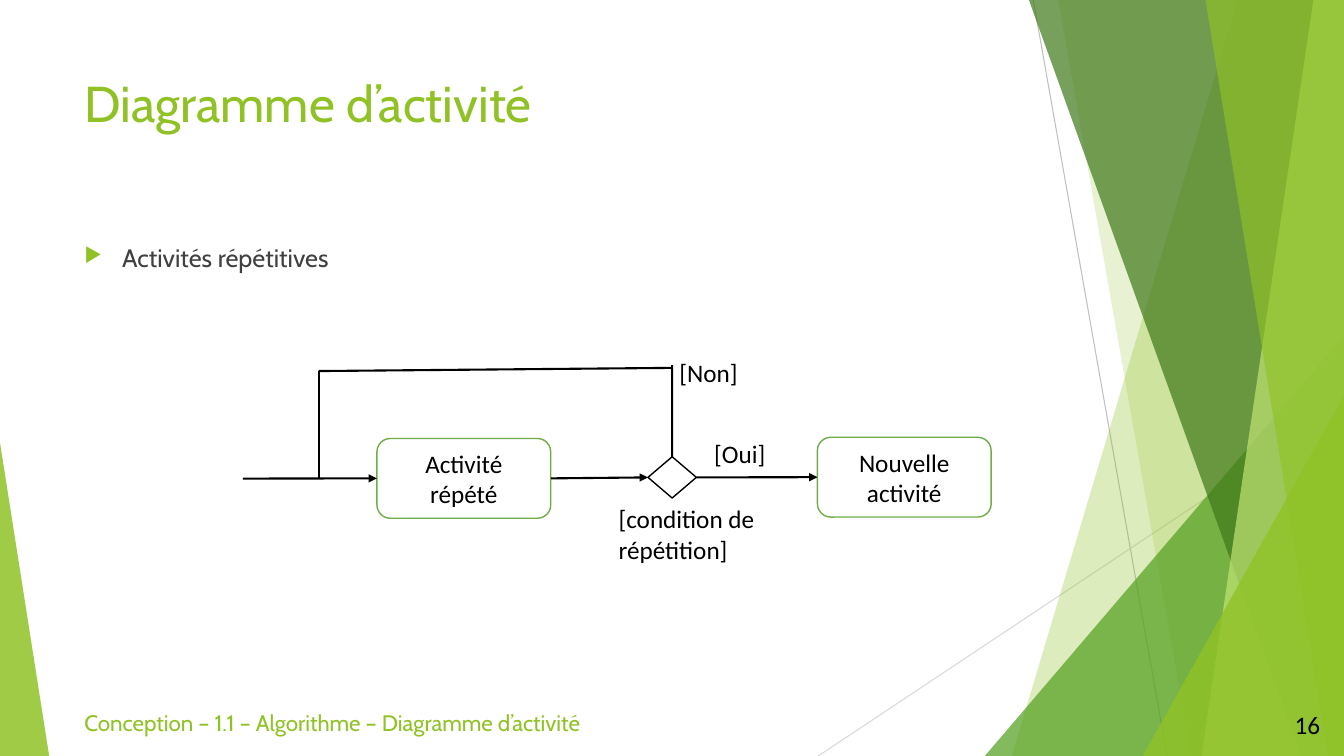
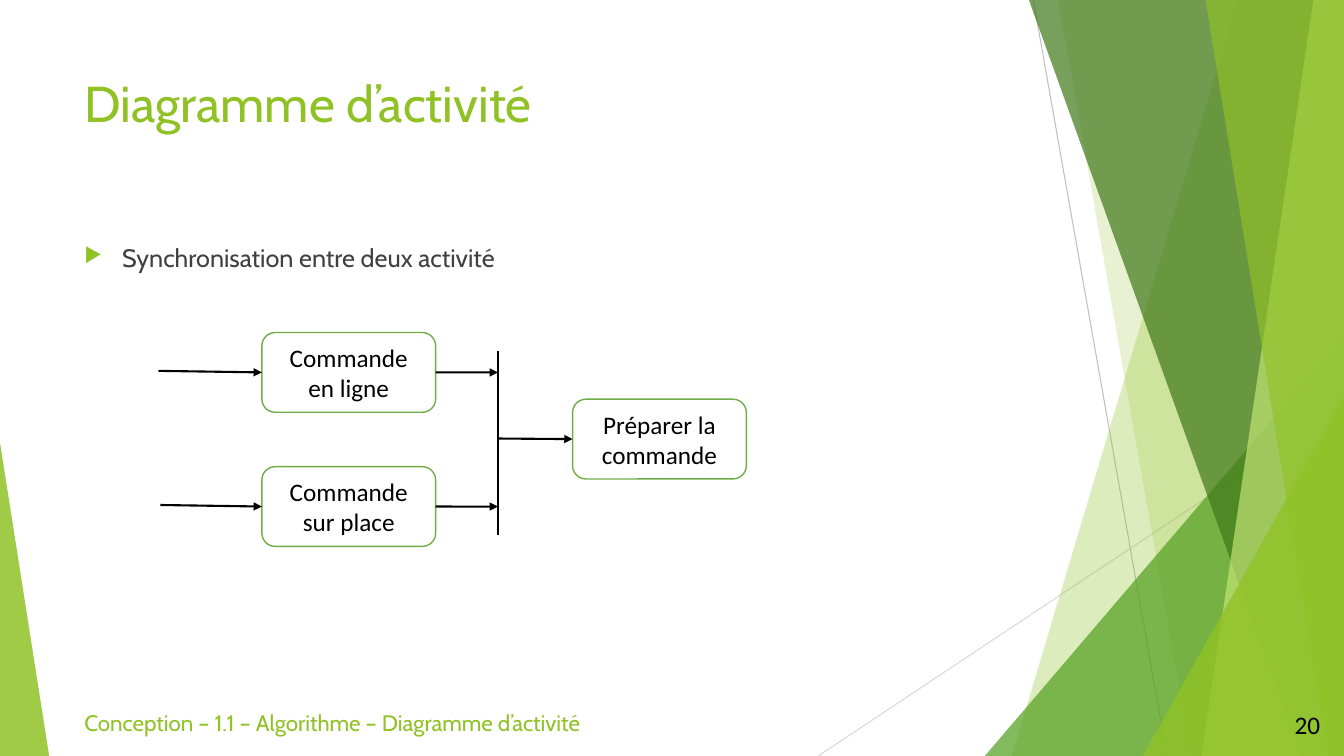
from lxml.etree import SubElement
from pptx import Presentation
from pptx.dml.color import RGBColor
from pptx.enum.shapes import MSO_CONNECTOR, MSO_SHAPE
from pptx.enum.text import MSO_ANCHOR, PP_ALIGN
from pptx.oxml.ns import qn
from pptx.util import Cm, Pt

# Colours
LIME = RGBColor(0x90, 0xC2, 0x26)
GREEN = RGBColor(0x54, 0xA0, 0x21)
DARK = RGBColor(0x3F, 0x78, 0x19)
PALE = RGBColor(0xC0, 0xE4, 0x74)
EDGE = RGBColor(0x70, 0xAD, 0x47)
GREY = RGBColor(0xBF, 0xBF, 0xBF)
MIST = RGBColor(0xD9, 0xD9, 0xD9)
TEXT = RGBColor(0x40, 0x40, 0x40)
BLACK = RGBColor(0, 0, 0)
WHITE = RGBColor(0xFF, 0xFF, 0xFF)

# Shared sizes (cm), fonts and text
WIDE, HIGH = 33.87, 19.05
LEFT = 1.88
BOX_W, BOX_H = 4.38, 2.01
HEAD, BODY = "Cabin", "Calibri"
TITLE = "Diagramme d’activité"
FOOTER = "Conception – 1.1 – Algorithme – Diagramme d’activité"

# Right bands: top x, top y, bottom x, colour, opacity in percent
BANDS = [
    (31.19, 0, 25.5, LIME, 30),
    (26.67, 0, 30.02, LIME, 20),
    (WIDE, 8.46, 24.82, GREEN, 72),
    (25.93, 0, 32.79, DARK, 70),
    (33.1, 0, 30.28, PALE, 70),
    (30.38, 0, 33.48, LIME, 65),
    (WIDE, 9.98, 28.8, LIME, 80),
]

# Connection sites
TOP, WEST, EAST = 0, 1, 3


def label(slide, text, at, size=18, font=BODY, color=BLACK):
    """Add a one-paragraph text box and return its frame."""
    frame = slide.shapes.add_textbox(*map(Cm, at)).text_frame
    frame.word_wrap = True
    frame.text = text
    style(frame.paragraphs[0], size, font, color)
    return frame


def style(para, size, font, color):
    para.font.size = Pt(size)
    para.font.name = font
    para.font.color.rgb = color


def line(slide, start, end, color=BLACK, width=1.5, arrow=False):
    """Draw a line; each end is a point or a (shape, site) pair."""
    ends = [(0, 0) if hasattr(end[0], "shape_id") else end for end in (start, end)]
    link = slide.shapes.add_connector(
        MSO_CONNECTOR.STRAIGHT, *(Cm(v) for point in ends for v in point))
    for end, join in ((start, link.begin_connect), (end, link.end_connect)):
        if hasattr(end[0], "shape_id"):
            join(*end)
    link.line.color.rgb = color
    link.line.width = Pt(width)
    props = link._element.spPr
    if arrow:
        SubElement(props.find(qn("a:ln")), qn("a:tailEnd"), type="triangle")
    SubElement(props, qn("a:effectLst"))


def arrow(slide, start, end):
    line(slide, start, end, arrow=True)


def band(slide, points, color, alpha):
    """Draw a translucent polygon without outline."""
    first, *rest = [(Cm(x), Cm(y)) for x, y in points]
    pen = slide.shapes.build_freeform(*first)
    pen.add_line_segments(rest)
    shape = pen.convert_to_shape()
    shape.shadow.inherit = False
    shape.fill.solid()
    shape.fill.fore_color.rgb = color
    shape.line.fill.background()
    tint = shape._element.spPr.find(".//" + qn("a:srgbClr"))
    SubElement(tint, qn("a:alpha"), val=str(alpha * 1000))


def node(slide, kind, at, edge):
    """Draw a white shape with a thin outline."""
    shape = slide.shapes.add_shape(kind, *map(Cm, at))
    shape.shadow.inherit = False
    shape.fill.solid()
    shape.fill.fore_color.rgb = WHITE
    shape.line.color.rgb = edge
    shape.line.width = Pt(1)
    return shape


def task(slide, text, x, y):
    """Draw a rounded activity box."""
    box = node(slide, MSO_SHAPE.ROUNDED_RECTANGLE, (x, y, BOX_W, BOX_H), EDGE)
    frame = box.text_frame
    frame.margin_left = frame.margin_right = Cm(0.35)
    frame.text = text
    para = frame.paragraphs[0]
    para.alignment = PP_ALIGN.CENTER
    style(para, 18, BODY, BLACK)
    return box


def bullet(slide, text):
    frame = label(slide, text, (LEFT, 5.99, 23.88, 1.45), 18, HEAD, TEXT)
    para = frame.paragraphs[0]
    para.space_before = Pt(10)
    props = para._p.get_or_add_pPr()
    indent = Cm(0.95)
    props.set("marL", str(indent))
    props.set("indent", str(-indent))
    mark = [("buClr", {}), ("buSzPct", {"val": "80000"}), ("buChar", {"char": "▶"})]
    # Bullet marks come before the default run properties
    run = props.find(qn("a:defRPr"))
    for tag, attrs in mark:
        item = SubElement(props, qn("a:" + tag), attrs)
        if tag == "buClr":
            SubElement(item, qn("a:srgbClr"), val=str(LIME))
        if run is not None:
            run.addprevious(item)


def base(deck, number, topic):
    """Add a slide with the shared decor, title, footer and topic."""
    slide = deck.slides.add_slide(deck.slide_layouts[6])
    line(slide, (26.04, 0), (29.41, HIGH), GREY, 0.75)
    line(slide, (WIDE, 10.24), (20.62, HIGH), MIST, 0.75)
    for x, y, foot, color, alpha in BANDS:
        right = [(WIDE, y)] if x < WIDE else []
        band(slide, [(x, y), *right, (WIDE, HIGH), (foot, HIGH)], color, alpha)
    band(slide, [(0, HIGH), (0, 11.15), (1.24, HIGH)], LIME, 85)
    label(slide, TITLE, (LEFT, 1.7, 23.88, 3.66), 36, HEAD, LIME)
    page = label(slide, str(number), (31.62, 17.75, 1.9, 1.02))
    page.vertical_anchor = MSO_ANCHOR.MIDDLE
    page.paragraphs[0].alignment = PP_ALIGN.RIGHT
    label(slide, FOOTER, (LEFT, 17.75, 16.64, 1.02), 16, HEAD, LIME)
    bullet(slide, topic)
    return slide


def loop(deck):
    slide = base(deck, 16, "Activités répétitives")
    test = node(slide, MSO_SHAPE.DIAMOND, (16.33, 11.51, 1.22, 1.04), BLACK)
    again = task(slide, "Activité répété", 9.5, 11.05)
    after = task(slide, "Nouvelle activité", 20.6, 11.02)
    # Forward flow
    arrow(slide, (6.12, 12.06), (again, WEST))
    arrow(slide, (again, EAST), (test, WEST))
    arrow(slide, (test, EAST), (after, WEST))
    # Way back
    line(slide, (test, TOP), (16.94, 9.2))
    line(slide, (16.94, 9.27), (8.03, 9.35))
    line(slide, (8.03, 9.35), (8.03, 12.06))
    # Conditions
    label(slide, "[condition de répétition]", (15.34, 12.57, 4.37, 1.8))
    label(slide, "[Non]", (16.87, 8.89, 2.24, 1.02))
    label(slide, "[Oui]", (17.75, 10.92, 2.24, 1.02))


def sync(deck):
    slide = base(deck, 20, "Synchronisation entre deux activité")
    bar = 12.55
    # Orders meet at the bar
    for text, x, y in (("Commande en ligne", 3.99, 8.38),
                       ("Commande sur place", 4.04, 11.76)):
        box = task(slide, text, 6.6, y)
        mid = y + BOX_H / 2
        arrow(slide, (x, mid - 0.04), (box, WEST))
        arrow(slide, (box, EAST), (bar, mid))
    line(slide, (bar, 8.84), (bar, 13.49))
    # Joint activity
    ready = task(slide, "Préparer la commande", 14.43, 10.06)
    arrow(slide, (bar, 11.05), (ready, WEST))


def main():
    deck = Presentation()
    deck.slide_width, deck.slide_height = Cm(WIDE), Cm(HIGH)
    loop(deck)
    sync(deck)
    deck.save("out.pptx")


if __name__ == "__main__":
    main()
